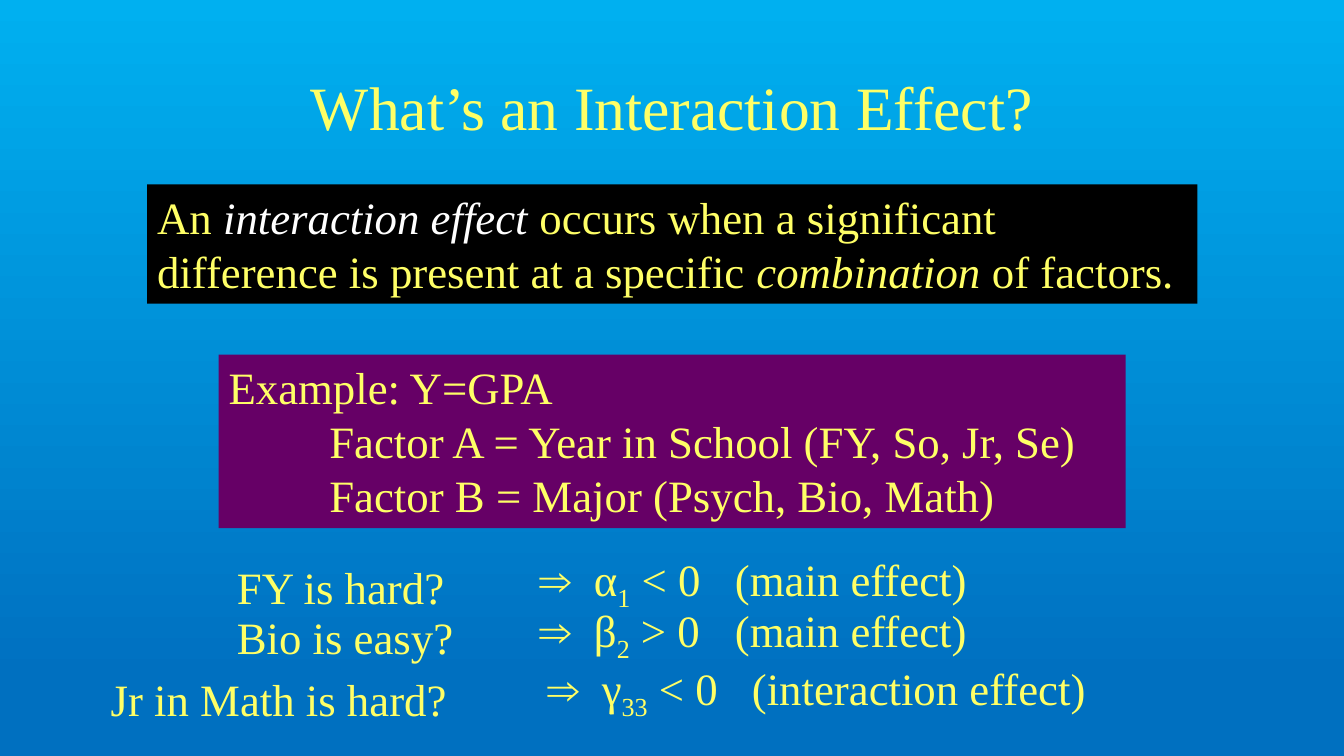
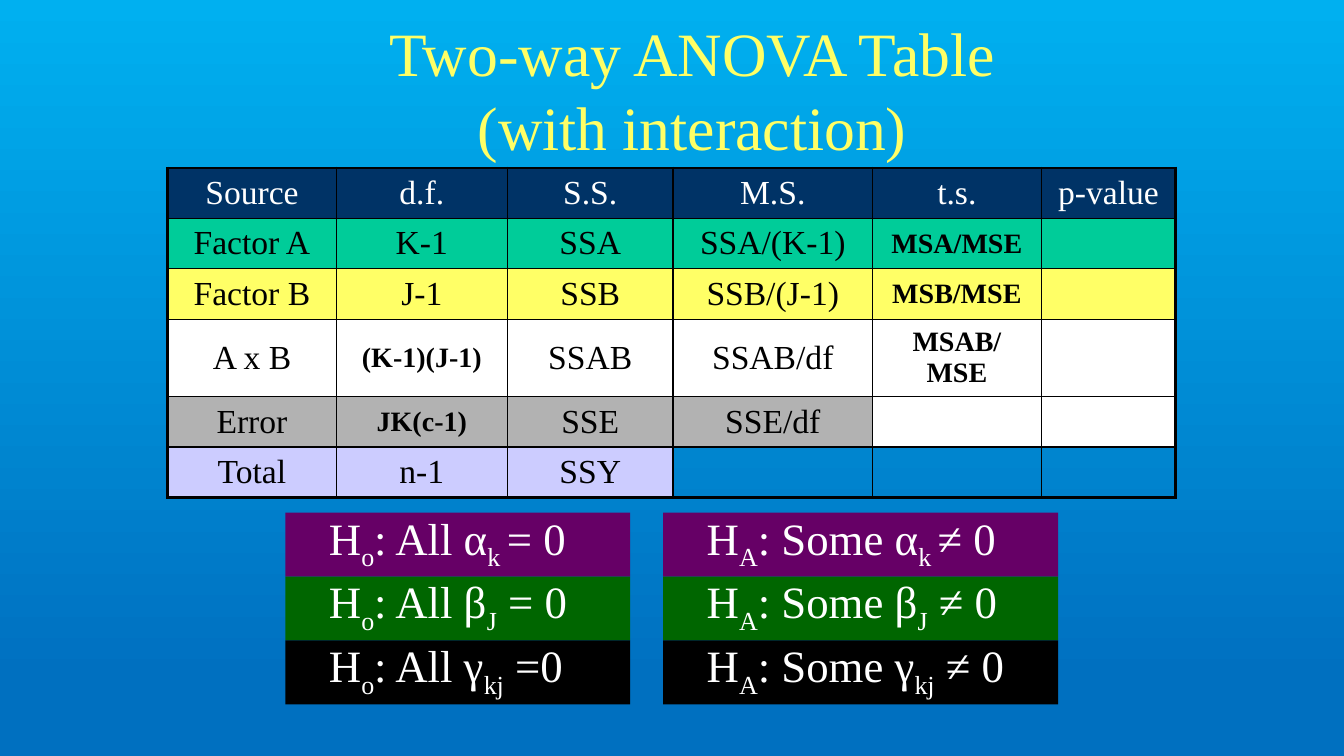
from lxml.etree import SubElement
from pptx import Presentation
from pptx.dml.color import RGBColor
from pptx.enum.shapes import MSO_SHAPE
from pptx.enum.text import MSO_ANCHOR, MSO_AUTO_SIZE, PP_ALIGN
from pptx.oxml.ns import qn
from pptx.util import Cm, Pt

HUES = {
    "sky": "00B0F0", "sea": "0070C0", "text": "FFFF66", "white": "FFFFFF",
    "black": "000000", "plum": "660066", "green": "006600", "navy": "003366",
    "mint": "00CC99", "gray": "B2B2B2", "mauve": "CCCCFF",
}


def hue(name):
    return RGBColor.from_string(HUES[name])


def sub(text):
    return text, {"base": -25}


def write(par, parts, size=32, color="text", bold=False, italic=False,
          base=0, align=PP_ALIGN.LEFT, left=0, stops=(), lead=1.2):
    par.alignment = align
    if lead:
        par.line_spacing = Pt(size * lead)
    props = par._p.get_or_add_pPr()
    if left:
        props.set("marL", str(Cm(left)))
    if stops:
        tabs = SubElement(props, qn("a:tabLst"))
        for stop in stops:
            SubElement(tabs, qn("a:tab"), pos=str(Cm(stop)), algn="l")
    look = {"size": size, "color": color, "bold": bold, "italic": italic, "base": base}
    for part in [parts] if isinstance(parts, str) else parts:
        text, extra = (part, {}) if isinstance(part, str) else part
        mix = {**look, **extra}
        run = par.add_run()
        run.text = text
        font = run.font
        font.name = "Times New Roman"
        font.size = Pt(mix["size"])
        font.bold = mix["bold"]
        font.italic = mix["italic"]
        font.color.rgb = hue(mix["color"])
        if mix["base"]:
            run._r.get_or_add_rPr().set("baseline", str(mix["base"] * 1000))


class Deck:
    """Hold the shared style and the current slide."""

    def __init__(self):
        self.file = Presentation()
        self.file.slide_width = Cm(33.87)
        self.file.slide_height = Cm(19.05)
        self.slide = None

    def start(self, title, x, y, w):
        self.slide = self.file.slides.add_slide(self.file.slide_layouts[6])
        fill = self.slide.background.fill
        fill.gradient()
        fill.gradient_angle = 270
        for stop, name, place in zip(fill.gradient_stops, ("sky", "sea"), (0, 0.9)):
            stop.color.rgb = hue(name)
            stop.position = place
        box = self.slide.shapes.add_textbox(Cm(x), Cm(y), Cm(w), Cm(3.18))
        frame = box.text_frame
        frame.word_wrap = True
        frame.vertical_anchor = MSO_ANCHOR.MIDDLE
        write(frame.paragraphs[0], title, size=44, align=PP_ALIGN.CENTER)

    def fit(self, shape, lines, **look):
        frame = shape.text_frame
        frame.word_wrap = True
        frame.auto_size = MSO_AUTO_SIZE.SHAPE_TO_FIT_TEXT
        frame.vertical_anchor = MSO_ANCHOR.TOP
        for num, (parts, left) in enumerate(lines):
            par = frame.add_paragraph() if num else frame.paragraphs[0]
            write(par, parts, left=left, **look)

    def note(self, parts, x, y, w, **look):
        box = self.slide.shapes.add_textbox(Cm(x), Cm(y), Cm(w), Cm(1.6))
        self.fit(box, [(parts, 0)], **look)

    def panel(self, lines, x, y, w, h, fill, **look):
        box = self.slide.shapes.add_shape(MSO_SHAPE.RECTANGLE, Cm(x), Cm(y), Cm(w), Cm(h))
        box.shadow.inherit = False
        box.fill.solid()
        box.fill.fore_color.rgb = hue(fill)
        box.line.fill.background()
        self.fit(box, lines, **look)

    def edge(self, cell, tag, width):
        line = SubElement(cell._tc.get_or_add_tcPr(), qn(f"a:{tag}"), w=str(Pt(width)))
        fill = SubElement(line, qn("a:solidFill"))
        SubElement(fill, qn("a:srgbClr"), val=HUES["black"])

    def cell(self, cell, text, fill, **look):
        cell.vertical_anchor = MSO_ANCHOR.MIDDLE
        if fill:
            cell.fill.solid()
            cell.fill.fore_color.rgb = hue(fill)
        else:
            cell.fill.background()
        if text:
            write(cell.text_frame.paragraphs[0], text, align=PP_ALIGN.CENTER,
                  lead=None, **look)

    def table(self, rows, x, y, wides, highs, small):
        grid = self.slide.shapes.add_table(
            len(rows), len(wides), Cm(x), Cm(y), Cm(sum(wides)), Cm(sum(highs))).table
        grid.first_row = grid.horz_banding = False
        for col, wide in zip(grid.columns, wides):
            col.width = Cm(wide)
        for r, (texts, fills) in enumerate(rows):
            grid.rows[r].height = Cm(highs[r])
            for c, (text, fill) in enumerate(zip(texts, fills)):
                cell = grid.cell(r, c)
                rims = {"lnL": c == 0, "lnR": c == len(wides) - 1,
                        "lnT": r == 0, "lnB": r == len(rows) - 1}
                for tag, rim in rims.items():
                    self.edge(cell, tag, 2.25 if rim else 1)
                tiny = text in small
                self.cell(cell, text, fill, size=20 if tiny else 24, bold=tiny,
                          color="black" if r else "white")


def effect(deck):
    deck.start("What’s an Interaction Effect?", 6.15, 1.07, 21.59)
    deck.panel([([
        "An ", ("interaction effect", {"italic": True, "color": "white"}),
        " occurs when a significant difference is present at a specific ",
        ("combination", {"italic": True}), " of factors."], 0)],
        3.71, 4.65, 26.47, 3, "black")
    deck.panel([
        ("Example: Y=GPA", 0),
        ("Factor A = Year in School (FY, So, Jr, Se)", 2.54),
        ("Factor B = Major (Psych, Bio, Math)", 2.54)],
        5.51, 8.94, 22.86, 4.37, "plum")
    for text, x, y in (("FY is hard?", 5.72, 13.97), ("Bio is easy?", 5.72, 15.24),
                       ("Jr in Math is hard?", 2.54, 16.81)):
        deck.note(text, x, y, 11.43)
    for sign, mark, test, kind, x, y, stop in (
            ("α", "1", "<", "main", 13.34, 13.97, 4.93),
            ("β", "2", ">", "main", 13.34, 15.24, 4.93),
            ("γ", "33", "<", "interaction", 13.54, 16.71, 5.16)):
        deck.note([f"⇒\t{sign}", sub(mark), f" {test} 0\t({kind} effect)"],
                  x, y, 16.08, stops=(1.38, stop))


def anova(deck):
    deck.start("Two-way ANOVA Table (with interaction)", 8.46, 0.64, 17.98)
    rows = [
        (("Source", "d.f.", "S.S.", "M.S.", "t.s.", "p-value"), ["navy"] * 6),
        (("Factor A", "K-1", "SSA", "SSA/(K-1)", "MSA/MSE", ""), ["mint"] * 6),
        (("Factor B", "J-1", "SSB", "SSB/(J-1)", "MSB/MSE", ""), ["text"] * 6),
        (("A x B", "(K-1)(J-1)", "SSAB", "SSAB/df", "MSAB/MSE", ""), ["white"] * 6),
        (("Error", "JK(c-1)", "SSE", "SSE/df", "", ""), ["gray"] * 4 + ["white"] * 2),
        (("Total", "n-1", "SSY", "", "", ""), ["mauve"] * 3 + [None] * 3),
    ]
    small = {"MSA/MSE", "MSB/MSE", "MSAB/MSE", "(K-1)(J-1)", "JK(c-1)"}
    deck.table(rows, 4.23, 4.23, (4.24, 4.32, 4.17, 5.03, 4.25, 3.39),
               (1.19, 1.19, 1.19, 1.81, 1.19, 1.19), small)
    signs = (("α", "k ", "= 0", "≠ 0", "plum"),
             ("β", "J", " = 0", " ≠ 0", "green"),
             ("γ", "kj", " =0", " ≠ 0", "black"))
    for row, (sign, mark, same, other, fill) in enumerate(signs):
        for name, word, test, x, w in (("o", "All", same, 7.19, 8.69),
                                       ("A", "Some", other, 16.71, 9.96)):
            deck.panel([(["H", sub(name), f": {word} {sign}", sub(mark), test], 0.85)],
                       x, 12.92 + row * 1.61, w, 1.61, fill, color="white")


def main():
    deck = Deck()
    effect(deck)
    anova(deck)
    deck.file.save("out.pptx")


if __name__ == "__main__":
    main()
